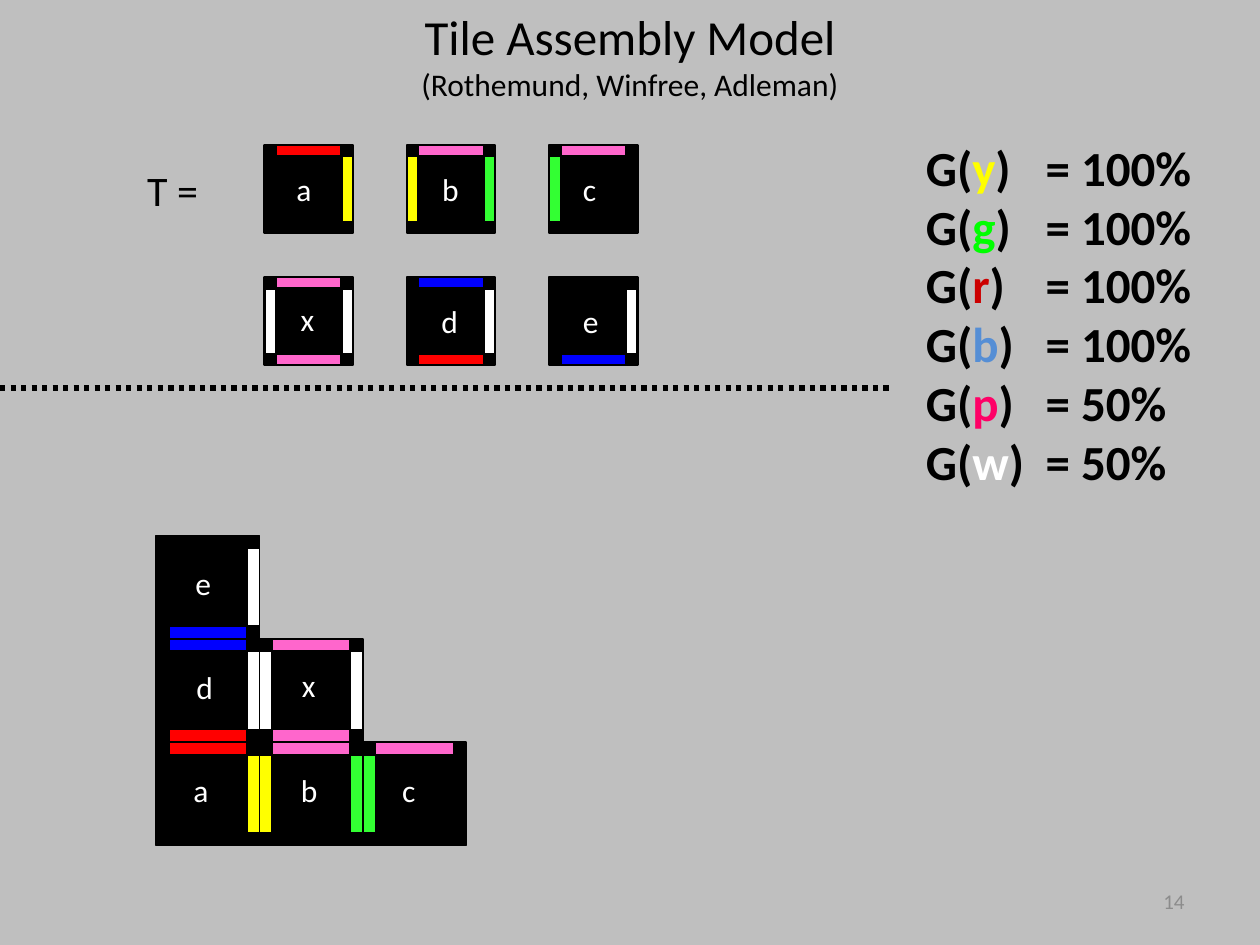
from lxml import etree
from pptx import Presentation
from pptx.dml.color import RGBColor
from pptx.enum import dml, shapes, text
from pptx.oxml import ns
from pptx.util import Inches, Pt

BLACK, WHITE = "000000", "FFFFFF"
RED, YELLOW, GREEN, BLUE, PINK = "FF0000", "FFFF00", "33FF33", "0000FF", "FF66CC"

TILE_SET = [
    ("x", 0, 1, {"left": WHITE, "top": PINK, "bottom": PINK, "right": WHITE}),
    ("e", 2, 1, {"right": WHITE, "bottom": BLUE}),
    ("d", 1, 1, {"right": WHITE, "bottom": RED, "top": BLUE}),
    ("c", 2, 0, {"left": GREEN, "top": PINK}),
    ("b", 1, 0, {"left": YELLOW, "top": PINK, "right": GREEN}),
    ("a", 0, 0, {"top": RED, "right": YELLOW}),
]
GLUES = {label: glues for label, _, _, glues in TILE_SET}
ASSEMBLY = [("a", 0, 2), ("d", 0, 1), ("b", 1, 2), ("c", 2, 2), ("e", 0, 0), ("x", 1, 1)]
LABEL_SHIFT = {"a": 0.36, "b": 0.4, "c": 0.38, "d": 0.39, "e": 0.38, "x": 0.41}

STRENGTHS = [
    ("y", YELLOW, "100%"),
    ("g", "00FF00", "100%"),
    ("r", "CC0000", "100%"),
    ("b", "558ED5", "100%"),
    ("p", "FF0066", "50%"),
    ("w", WHITE, "50%"),
]


def rgb(value):
    return RGBColor.from_string(value)


def style(font, size, color, bold=False):
    font.name = "Calibri"
    font.size = Pt(size)
    font.bold = bold
    font.color.rgb = rgb(color)


def add_text(parent, left, top, width, height, words, size, color, inset=None):
    box = parent.add_textbox(Inches(left), Inches(top), Inches(width), Inches(height))
    frame = box.text_frame
    frame.word_wrap = False
    frame.text = words
    if inset is not None:
        frame.margin_left = frame.margin_right = Inches(inset)
        frame.margin_top = frame.margin_bottom = Inches(inset)
    style(frame.paragraphs[0].runs[0].font, size, color)
    return frame


def add_block(parent, left, top, width, height, color, outline):
    block = parent.add_shape(shapes.MSO_SHAPE.RECTANGLE, Inches(left), Inches(top),
                             Inches(width), Inches(height))
    block.shadow.inherit = False
    block.fill.solid()
    block.fill.fore_color.rgb = rgb(color)
    block.line.color.rgb = rgb(BLACK)
    block.line.width = Pt(outline)


def add_tile(parent, label, left, top, size, glue, outline):
    add_block(parent, left, top, size, size, BLACK, outline)
    length, far = size - 2 * glue, size - glue
    sides = {
        "left": (0, glue, glue, length),
        "right": (far, glue, glue, length),
        "top": (glue, 0, length, glue),
        "bottom": (glue, far, length, glue),
    }
    for side, color in GLUES[label].items():
        x, y, width, height = sides[side]
        add_block(parent, left + x, top + y, width, height, color, outline)
    drop = 0.26 if label == "x" else 0.28
    add_text(parent, left + LABEL_SHIFT[label] * size, top + drop * size, 0.16, 0.3,
             label, 18, WHITE, inset=0)


def add_title(slide):
    title = slide.shapes.title
    title.left, title.top = Inches(0), Inches(0)
    title.width, title.height = Inches(10), Inches(1.37)
    frame = title.text_frame
    frame.text = "Tile Assembly Model\n(Rothemund, Winfree, Adleman)"
    frame.word_wrap = True
    frame.auto_size = text.MSO_AUTO_SIZE.NONE
    frame.vertical_anchor = text.MSO_ANCHOR.TOP
    for paragraph, size in zip(frame.paragraphs, (28, 18)):
        paragraph.alignment = text.PP_ALIGN.CENTER
        style(paragraph.runs[0].font, size, BLACK)


def add_divider(slide):
    divider = slide.shapes.add_connector(shapes.MSO_CONNECTOR.STRAIGHT, Inches(0),
                                         Inches(3.08), Inches(7.08), Inches(3.08))
    divider.line.color.rgb = rgb(BLACK)
    divider.line.width = Pt(3)
    divider.line.dash_style = dml.MSO_LINE.ROUND_DOT
    properties = divider._element.spPr
    etree.SubElement(properties, ns.qn("a:effectLst"))


def add_strengths(slide):
    box = slide.shapes.add_textbox(Inches(7.25), Inches(1.04), Inches(2.75), Inches(2.93))
    frame = box.text_frame
    frame.word_wrap = True
    for index, (glue, color, strength) in enumerate(STRENGTHS):
        paragraph = frame.paragraphs[0] if index == 0 else frame.add_paragraph()
        tabs = etree.SubElement(paragraph._p.get_or_add_pPr(), ns.qn("a:tabLst"))
        etree.SubElement(tabs, ns.qn("a:tab"), pos=str(Inches(0.95)), algn="l")
        for words, shade in (("G(", BLACK), (glue, color), (f")\t= {strength}", BLACK)):
            run = paragraph.add_run()
            run.text = words
            style(run.font, 28, shade, bold=True)


def main():
    deck = Presentation()
    deck.slide_width, deck.slide_height = Inches(10), Inches(7.5)
    slide = deck.slides.add_slide(deck.slide_layouts[5])
    slide.background.fill.solid()
    slide.background.fill.fore_color.rgb = rgb("BFBFBF")

    add_title(slide)
    number = add_text(slide.shapes, 7.17, 6.95, 2.33, 0.4, "14", 12, "8C8C8C")
    number.word_wrap = True
    number.vertical_anchor = text.MSO_ANCHOR.MIDDLE
    number.paragraphs[0].alignment = text.PP_ALIGN.RIGHT
    add_text(slide.shapes, 1.07, 1.26, 0.88, 0.5, "T =", 24, BLACK)

    assembly = slide.shapes.add_group_shape().shapes
    for label, column, row in ASSEMBLY:
        add_tile(assembly, label, 1.24 + 0.82 * column, 4.25 + 0.82 * row, 0.82, 0.1, 1)

    tile_set = slide.shapes.add_group_shape().shapes
    for label, column, row, _ in TILE_SET:
        add_tile(tile_set, label, 2.1 + 1.13 * column, 1.15 + 1.05 * row, 0.7, 0.09, 1.25)

    add_divider(slide)
    add_strengths(slide)
    deck.save("out.pptx")


if __name__ == "__main__":
    main()
